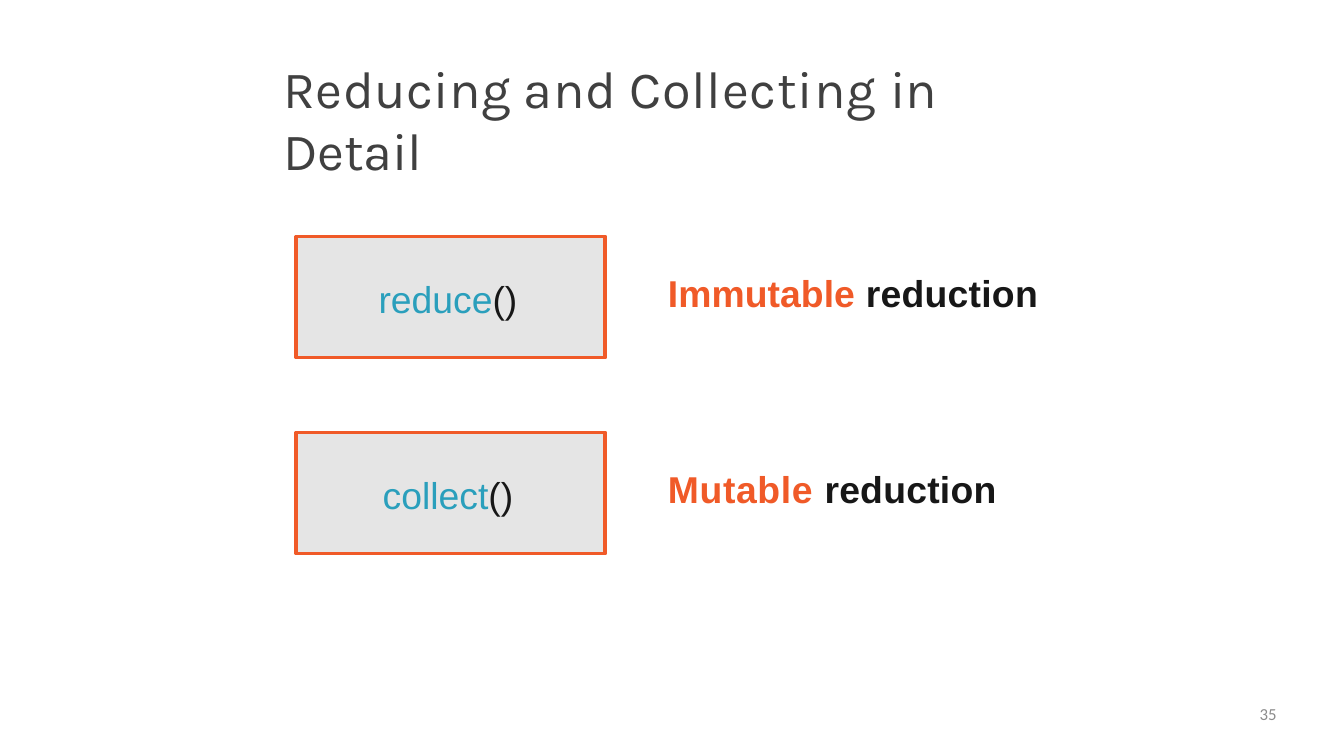
"""Build the slide that contrasts reduce() with collect()."""
from pptx import Presentation
from pptx.dml.color import RGBColor
from pptx.enum.shapes import MSO_SHAPE as Preset
from pptx.enum.text import MSO_ANCHOR as Anchor, MSO_AUTO_SIZE as AutoSize, PP_ALIGN as Align
from pptx.util import Pt

COLORS = {
    "title": "404040",
    "accent": "F05A28",
    "panel": "E5E5E5",
    "method": "2A9FBC",
    "ink": "171717",
    "number": "8C8C8C",
}
TITLE_FONT = {"name": "Karla", "size": Pt(56), "bold": False}
METHOD_FONT = {"name": "Arial", "size": Pt(40), "bold": False}
LABEL_FONT = {"name": "Arial", "size": Pt(40), "bold": True}
NUMBER_FONT = {"name": "Calibri", "size": Pt(18), "bold": False}
FRAME = {
    "margin_left": 0,
    "margin_top": Pt(1),
    "margin_right": 0,
    "margin_bottom": 0,
    "word_wrap": True,
    "auto_size": AutoSize.NONE,
    "vertical_anchor": Anchor.TOP,
}
PANEL_FRAME = FRAME | {
    "margin_top": Pt(3),
    "margin_right": Pt(6),
    "vertical_anchor": Anchor.MIDDLE,
}


def apply(target, values):
    for attribute, value in values.items():
        setattr(target, attribute, value)


def write(holder, pieces, font, align=Align.LEFT, frame=FRAME, before=1):
    """Fill a shape with one paragraph of (text, colour, tracking) pieces."""
    apply(holder.text_frame, frame)
    paragraph = holder.text_frame.paragraphs[0]
    apply(paragraph, {"alignment": align, "space_before": Pt(before)})
    for text, color, tracking in pieces:
        run = paragraph.add_run()
        run.text = text
        apply(run.font, font)
        run.font.color.rgb = RGBColor.from_string(COLORS[color])
        if tracking:
            run.font._element.set("spc", str(round(tracking * 100)))


def set_title(slide, pieces):
    title = slide.shapes.title
    apply(title, {"left": Pt(304), "top": Pt(59), "width": Pt(833), "height": Pt(69)})
    write(title, pieces, TITLE_FONT)


def add_label(slide, left, top, width, height, pieces, font, **layout):
    label = slide.shapes.add_textbox(Pt(left), Pt(top), Pt(width), Pt(height))
    write(label, pieces, font, **layout)


def add_method(slide, top, name):
    panel = slide.shapes.add_shape(Preset.RECTANGLE, Pt(317.5), Pt(top), Pt(331), Pt(129.6))
    panel.shadow.inherit = False
    panel.fill.solid()
    panel.fill.fore_color.rgb = RGBColor.from_string(COLORS["panel"])
    panel.line.color.rgb = RGBColor.from_string(COLORS["accent"])
    panel.line.width = Pt(4)
    pieces = [(name, "method", 0), ("()", "ink", 0)]
    write(panel, pieces, METHOD_FONT, Align.CENTER, PANEL_FRAME, before=0)


def main():
    deck = Presentation()
    apply(deck, {"slide_width": Pt(1440), "slide_height": Pt(810)})
    slide = deck.slides.add_slide(deck.slide_layouts[5])
    set_title(slide, [
        ("Reducing ", "title", 0.3),
        ("and ", "title", 0.5),
        ("Collecting ", "title", 0.8),
        ("in ", "title", 0.1),
        ("Detail", "title", -0.3),
    ])
    reductions = [("reduce", "Immutable ", 0.1, 399), ("collect", "Mutable ", 0.7, 353.5)]
    for row, (method, kind, tracking, width) in enumerate(reductions):
        top = 253.5 + row * 210
        add_method(slide, top, method)
        pieces = [(kind, "accent", tracking), ("reduction", "ink", 0.3)]
        add_label(slide, 715.7, top + 34.5, width, 49.7, pieces, LABEL_FONT)
    add_label(slide, 1036.8, 753, 331.2, 40.3, [("35", "number", 0)], NUMBER_FONT,
              align=Align.RIGHT, before=0)
    deck.save("out.pptx")


if __name__ == "__main__":
    main()
